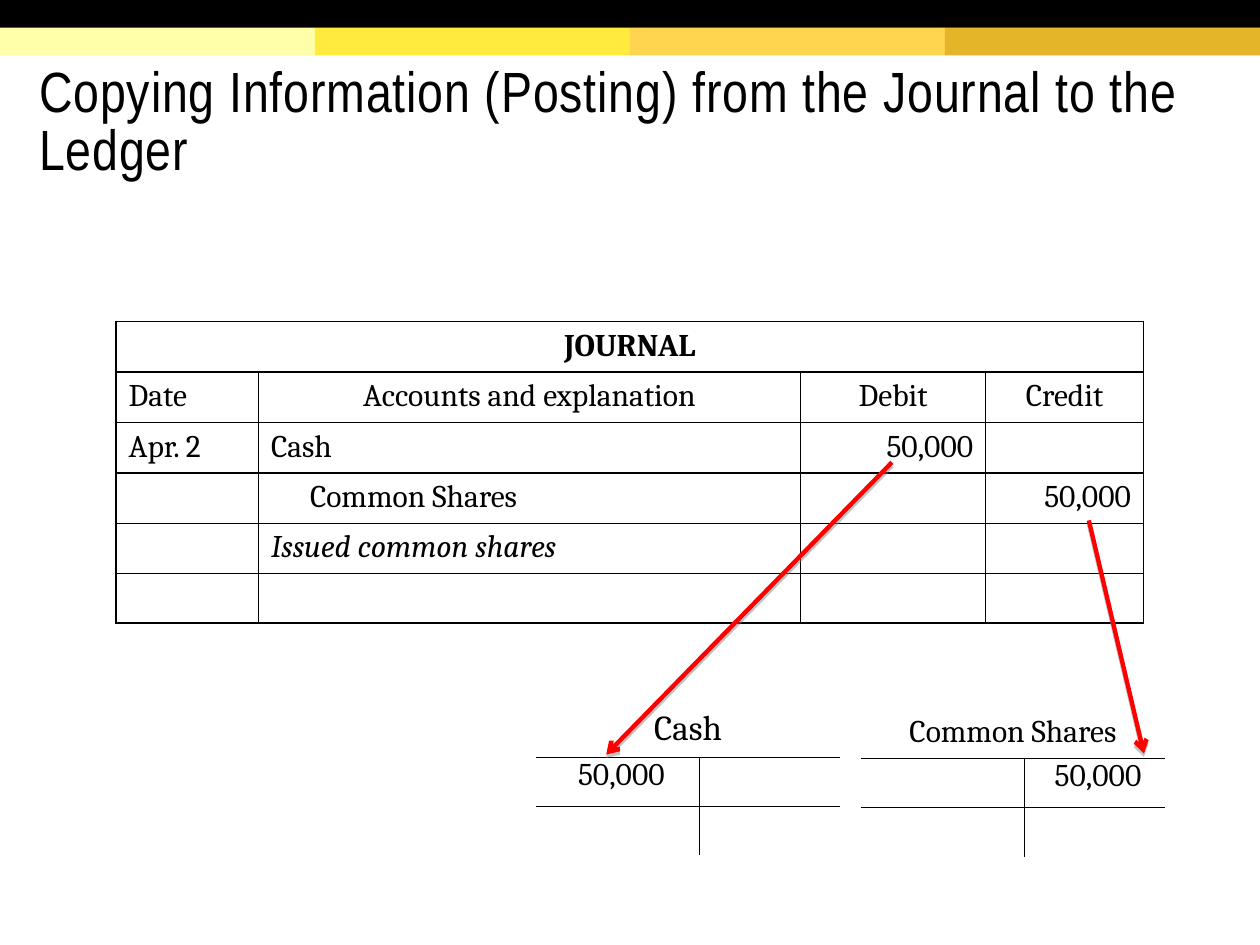
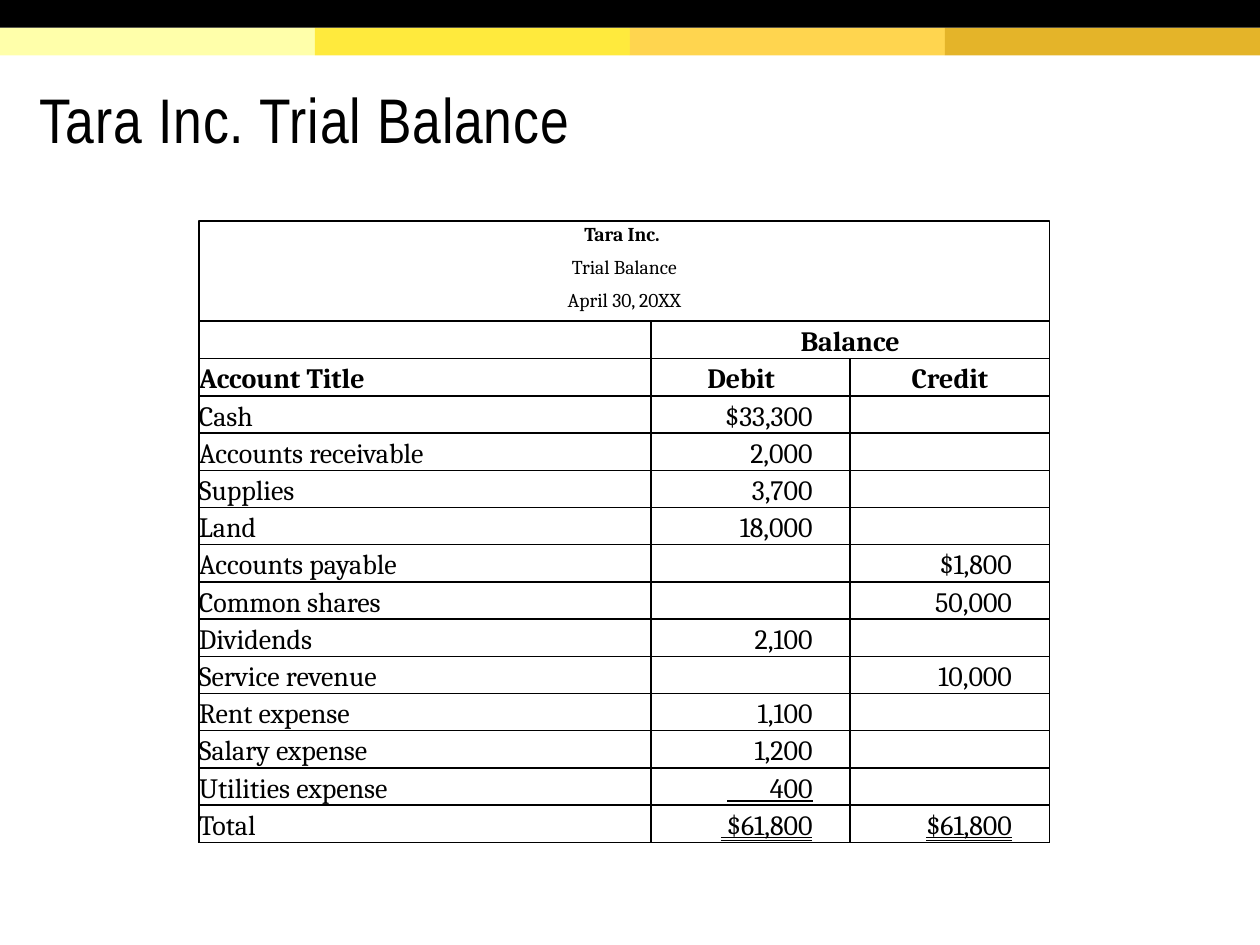
from dataclasses import dataclass, field

from lxml import etree
from pptx import Presentation
from pptx.dml.color import RGBColor
from pptx.enum.shapes import MSO_CONNECTOR, MSO_SHAPE
from pptx.enum.text import MSO_ANCHOR, MSO_TEXT_UNDERLINE_TYPE, PP_ALIGN
from pptx.oxml import parse_xml
from pptx.oxml.ns import nsdecls, qn
from pptx.util import Cm, Pt

LEFT, MID, RIGHT = PP_ALIGN.LEFT, PP_ALIGN.CENTER, PP_ALIGN.RIGHT
TOP, MIDDLE, BOTTOM = MSO_ANCHOR.TOP, MSO_ANCHOR.MIDDLE, MSO_ANCHOR.BOTTOM
DOUBLE = MSO_TEXT_UNDERLINE_TYPE.DOUBLE_LINE
RECT, STRAIGHT = MSO_SHAPE.RECTANGLE, MSO_CONNECTOR.STRAIGHT

BLACK = RGBColor(0x00, 0x00, 0x00)
RED = RGBColor(0xFF, 0x00, 0x00)
BANDS = (
    RGBColor(0xFF, 0xFF, 0xAA),
    RGBColor(0xFF, 0xEA, 0x3D),
    RGBColor(0xFF, 0xD5, 0x4F),
    RGBColor(0xE4, 0xB4, 0x29),
)
HEAD, BODY = "Arial Narrow", "Cambria"
WIDE, HIGH, STRIPE = 25.4, 19.05, 0.56
PLAIN = "{2D5ABB26-0587-4C30-8999-92F81FD0307C}"  # table style without grid


@dataclass
class Text:
    """Words with their paragraph, font and margin values."""
    words: str = ""
    para: dict = field(default_factory=dict)
    font: dict = field(default_factory=dict)
    inset: dict = field(default_factory=dict)  # cm


@dataclass
class Grid:
    """A table: place and sizes in cm, cells by row, merged spans, base font."""
    left: float
    top: float
    cols: list[float]
    rows: list[float]
    cells: list[list[Text]]
    spans: list[tuple[int, int, int]]  # row, first column, last column
    size: float = 18
    rule: float = 1
    anchor: MSO_ANCHOR = TOP
    ledger: bool = False  # T account rules in place of a full grid


def apply(item, values: dict) -> None:
    for name, value in values.items():
        setattr(item, name, value)


def write(para, text: Text, size: float, face: str = BODY):
    """Fill one paragraph; an empty one is small so it never stretches a row."""
    if not text.words:
        para._p.get_or_add_endParaRPr().set("sz", "1000")
        return None
    apply(para, text.para)
    run = para.add_run()
    run.text = text.words
    apply(run.font, {"name": face, "size": Pt(size), **text.font})
    run.font.color.rgb = BLACK
    return run


def block(slide, left: float, top: float, width: float, high: float, fill=None):
    shape = slide.shapes.add_shape(RECT, Cm(left), Cm(top), Cm(width), Cm(high))
    shape.shadow.inherit = False
    if fill is None:
        shape.fill.background()
    else:
        shape.fill.solid()
        shape.fill.fore_color.rgb = fill
        shape.line.fill.background()
    return shape


def start(deck, title: str, size: float):
    """Add a slide with the bands and title that all slides share."""
    slide = deck.slides.add_slide(deck.slide_layouts[6])
    step = WIDE / len(BANDS)
    for i, tint in enumerate(BANDS):
        block(slide, i * step, STRIPE, step, STRIPE, tint)
    block(slide, 0, 0, WIDE, STRIPE, BLACK)

    box = slide.shapes.add_textbox(Cm(0.54), Cm(1.2), Cm(24.1), Cm(2.49))
    frame = box.text_frame
    apply(frame, {
        "word_wrap": True, "vertical_anchor": MIDDLE,
        "margin_left": Cm(0.25), "margin_right": Cm(0.25),
        "margin_top": Cm(0.25), "margin_bottom": Cm(0.13),
    })
    text = Text(title, {"line_spacing": 0.85})
    run = write(frame.paragraphs[0], text, size, HEAD)
    run.font._element.set("spc", "50")
    return slide


def edge(cell, sides: str, width: float) -> None:
    """Rule the given sides, a subset of LRTB in that order."""
    props = cell._tc.get_or_add_tcPr()
    for side in sides:
        props.append(parse_xml(
            f'<a:ln{side} {nsdecls("a")} w="{int(Pt(width))}"><a:solidFill>'
            f'<a:srgbClr val="{BLACK}"/></a:solidFill></a:ln{side}>'))


def draw(slide, grid: Grid) -> None:
    frame = slide.shapes.add_table(
        len(grid.rows), len(grid.cols), Cm(grid.left), Cm(grid.top),
        Cm(sum(grid.cols)), Cm(sum(grid.rows)))
    table = frame.table
    apply(table, {"first_row": False, "horz_banding": False})
    table._tbl.tblPr.find(qn("a:tableStyleId")).text = PLAIN
    for col, width in zip(table.columns, grid.cols):
        col.width = Cm(width)
    for row, high in zip(table.rows, grid.rows):
        row.height = Cm(high)
    for row, first, last in grid.spans:
        table.cell(row, first).merge(table.cell(row, last))
    for r, line in enumerate(grid.cells):
        for c, text in enumerate(line):
            cell = table.cell(r, c)
            cell.vertical_anchor = grid.anchor
            apply(cell, {f"margin_{k}": Cm(v) for k, v in text.inset.items()})
            write(cell.text_frame.paragraphs[0], text, grid.size)
            sides = "LRTB"
            if grid.ledger:
                inner = "R" if c == 0 else "L"
                sides = ("B", inner + "TB", inner)[r]
            edge(cell, sides, grid.rule)
            cell.fill.background()


def link(slide, tip: tuple, tail: tuple, tint: RGBColor, width: float):
    """Draw a plain straight line."""
    line = slide.shapes.add_connector(
        STRAIGHT, Cm(tip[0]), Cm(tip[1]), Cm(tail[0]), Cm(tail[1]))
    line.line.color.rgb = tint
    line.line.width = Pt(width)
    etree.SubElement(line._element.spPr, qn("a:effectLst"))
    return line


def arrow(slide, tip: tuple, tail: tuple) -> None:
    """Draw a red posting arrow with a soft shadow."""
    line = link(slide, tip, tail, RED, 2.5)
    etree.SubElement(line.line._get_or_add_ln(), qn("a:tailEnd"), type="arrow")
    line._element.spPr.find(qn("a:effectLst")).append(parse_xml(
        f'<a:outerShdw {nsdecls("a")} dist="{int(Pt(2))}" dir="5400000">'
        '<a:srgbClr val="808080"><a:alpha val="45000"/></a:srgbClr>'
        '</a:outerShdw>'))


def aligned(words: str, align=LEFT, **font) -> Text:
    return Text(words, {"alignment": align}, font)


def account(left: float, top: float, name: str, size: float, side: int) -> Grid:
    """Lay out a T account with the amount on side 0 (debit) or 1 (credit)."""
    sums = [Text(), Text()]
    sums[side] = Text(" 50,000", {"alignment": MID, "line_spacing": 0.75})
    title = aligned(name, MID, size=Pt(size))
    return Grid(left, top, [3.29, 2.83], [15.24 - top, 0.99, 0.99],
                [[title, Text()], sums, [Text(), Text()]],
                [(0, 0, 1)], rule=0.25, ledger=True)


def journal(deck) -> None:
    slide = start(
        deck, "Copying Information (Posting) from the Journal to the Ledger", 32.4)
    none = Text()
    cells = [
        [aligned("JOURNAL", MID, bold=True), none, none, none],
        [Text("Date"), *(aligned(w, MID) for w in
                         ("Accounts and explanation", "Debit", "Credit"))],
        [Text("Apr. 2"), Text("Cash"), aligned("50,000", RIGHT), none],
        [none, Text("Common Shares", inset={"left": 1.04}), none,
         aligned("50,000", RIGHT)],
        [none, aligned("Issued common shares", italic=True), none, none],
        [none] * 4,
    ]
    draw(slide, Grid(2.34, 6.48, [2.87, 10.93, 3.73, 3.18], [0.99] * 6,
                     cells, [(0, 0, 3)]))

    # Ledger accounts and the postings into them
    draw(slide, account(10.81, 14.16, "Cash", 20, 0))
    draw(slide, account(17.36, 14.27, "Common Shares", 18, 1))
    arrow(slide, (17.98, 9.32), (12.22, 15.21))
    arrow(slide, (21.95, 10.49), (23.06, 15.19))


SUMS = [
    ("Cash", " $33,300", ""),
    ("Accounts receivable", "2,000", ""),
    ("Supplies", "3,700", ""),
    ("Land", "18,000", ""),
    ("Accounts payable", "", "$1,800"),
    ("Common shares", "", "50,000"),
    ("Dividends", "2,100", ""),
    ("Service revenue", "", "10,000"),
    ("Rent expense", "1,100", ""),
    ("Salary expense", "1,200", ""),
    ("Utilities expense", "400", ""),
    ("Total", " $61,800", "$61,800"),
]


def entry(words: str, align=LEFT, right: float = 0, **font) -> Text:
    """Make a trial balance cell without margins, save one on the right."""
    return Text(words, {"alignment": align, "line_spacing": 1.1}, font,
                {"left": 0, "top": 0, "bottom": 0, "right": right})


def balance(deck) -> None:
    slide = start(deck, "Tara Inc. Trial Balance", 36)

    # Heading box
    left, top, width, high = 4.01, 4.45, 17.15, 2.03
    box = block(slide, left, top, width, high)
    box.line.color.rgb = BLACK
    box.line.width = Pt(1)
    frame = box.text_frame
    apply(frame, {"word_wrap": True, "vertical_anchor": TOP})
    form = {"alignment": MID, "line_spacing": 0.8, "space_after": Pt(8)}
    for i, words in enumerate(("Tara Inc. ", "Trial Balance", "April 30, 20XX")):
        para = frame.add_paragraph() if i else frame.paragraphs[0]
        write(para, Text(words, form, {"bold": i == 0}), 11.2)

    # Balances
    cells = [
        [entry(""), entry("Balance", MID, bold=True), entry("")],
        [entry("Account Title", bold=True),
         entry("Debit", MID, 0.38, bold=True), entry("Credit", MID, bold=True)],
    ]
    for name, *pair in SUMS:
        font = {"underline": DOUBLE} if name == "Total" else {}
        cells.append([entry(name), *(entry(w, RIGHT, 0.76, **font) for w in pair)])
    step = 0.75
    draw(slide, Grid(left, top + high, [9.11, 4.02, 4.02], [step] * len(cells),
                     cells, [(0, 1, 2)], size=16, anchor=BOTTOM))

    # Sum line under the last amount, just above the total row
    level = top + high + step * (len(cells) - 1) - 0.08
    link(slide, (14.66, level), (16.39, level), BLACK, 1)


def main() -> None:
    deck = Presentation()
    apply(deck, {"slide_width": Cm(WIDE), "slide_height": Cm(HIGH)})
    journal(deck)
    balance(deck)
    deck.save("out.pptx")


if __name__ == "__main__":
    main()
